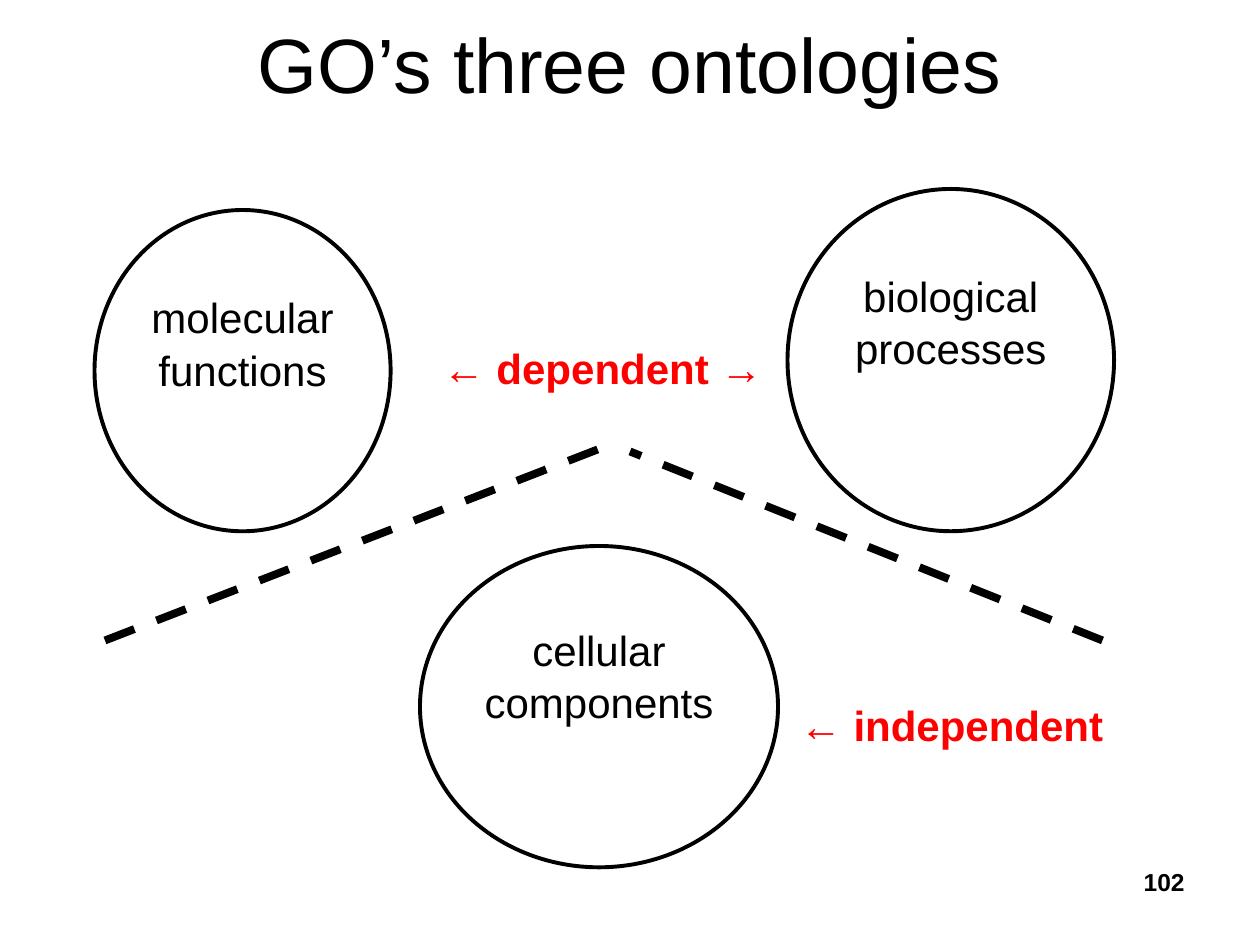
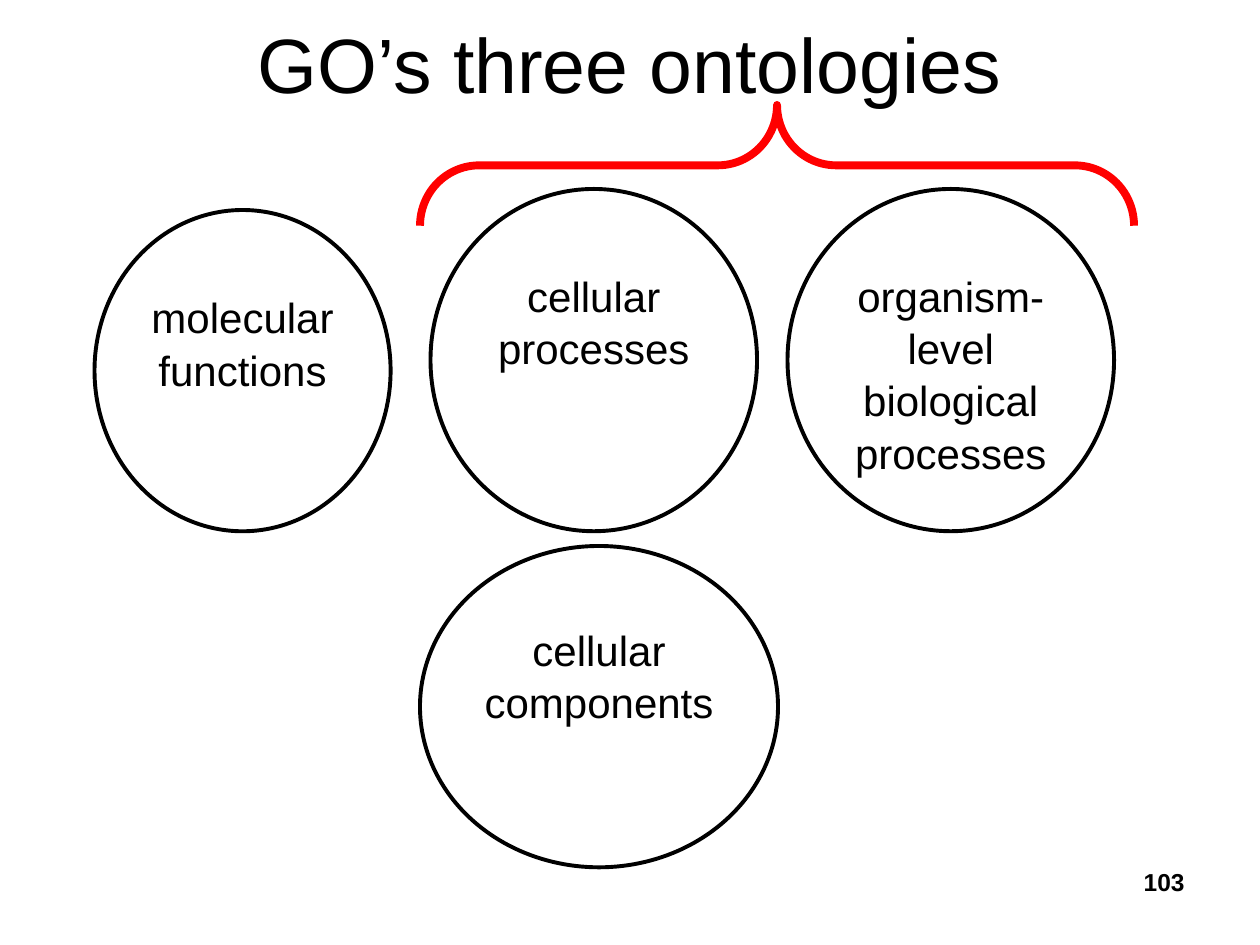
from lxml.etree import SubElement
from pptx import Presentation
from pptx.dml.color import RGBColor
from pptx.enum.dml import MSO_LINE
from pptx.enum.shapes import MSO_CONNECTOR, MSO_SHAPE
from pptx.enum.text import MSO_ANCHOR, PP_ALIGN
from pptx.oxml.ns import qn
from pptx.util import Inches, Pt

BLACK = RGBColor(0, 0, 0)
WHITE = RGBColor(255, 255, 255)
RED = RGBColor(255, 0, 0)
FONT = "Arial"
UNIT = Inches(1) / 12  # the slide is 120 columns by 90 rows
THIN, THICK = Pt(2.25), Pt(4.5)

SIDE = (20, 28.2, 30.6)    # top, width, height
TALL = (18, 31.1, 32.6)
WIDE = (52, 34.1, 30.6)


def grid(*vals):
    return [round(val * UNIT) for val in vals]


class Deck:
    def __init__(self):
        self.prs = Presentation()
        self.prs.slide_width, self.prs.slide_height = grid(120, 90)
        self.slide = None

    def page(self, title, num):
        self.slide = self.prs.slides.add_slide(self.prs.slide_layouts[6])
        self.text(title, (6, 0, 108, 12), 44, align=PP_ALIGN.CENTER,
                  anchor=MSO_ANCHOR.MIDDLE)
        self.text(str(num), (86, 82, 28, 6.2), 14, bold=True,
                  align=PP_ALIGN.RIGHT)

    def put(self, frame, lines, size, color, bold, align):
        frame.word_wrap = True
        for i, line in enumerate(lines):
            para = frame.paragraphs[0] if i == 0 else frame.add_paragraph()
            para.text = line
            para.alignment = align
            font = para.font
            font.name, font.size, font.bold = FONT, Pt(size), bold
            font.color.rgb = color

    def text(self, words, box, size, color=BLACK, bold=False,
             align=PP_ALIGN.LEFT, anchor=MSO_ANCHOR.TOP):
        frame = self.slide.shapes.add_textbox(*grid(*box)).text_frame
        frame.vertical_anchor = anchor
        self.put(frame, [words], size, color, bold, align)

    def label(self, words, left, top):
        self.text(words, (left, top, 39, 6), 24, RED, True)

    def circle(self, lines, left, form, inset=0.23):
        """Draw an ellipse whose text starts an inset below its top margin."""
        top, wide, high = form
        shape = self.slide.shapes.add_shape(
            MSO_SHAPE.OVAL, *grid(left, top, wide, high))
        shape.shadow.inherit = False
        shape.fill.solid()
        shape.fill.fore_color.rgb = WHITE
        shape.line.color.rgb, shape.line.width = BLACK, THIN
        frame = shape.text_frame
        frame.vertical_anchor = MSO_ANCHOR.TOP
        frame.margin_left = frame.margin_right = Inches(0.09)
        frame.margin_top, frame.margin_bottom = Inches(inset), Inches(0.04)
        self.put(frame, lines, 24, BLACK, False, PP_ALIGN.CENTER)
        for para in frame.paragraphs:
            para.line_spacing = 1.04

    def dash(self, start, end):
        line = self.slide.shapes.add_connector(
            MSO_CONNECTOR.STRAIGHT, *grid(*start, *end))
        line.line.color.rgb, line.line.width = BLACK, THICK
        line.line.dash_style = MSO_LINE.DASH
        SubElement(line._element.spPr, qn("a:effectLst"))

    def brace(self, left, top, wide, high):
        """Draw a brace that points up, within the box as seen."""
        shift = (wide - high) / 2
        shape = self.slide.shapes.add_shape(
            MSO_SHAPE.LEFT_BRACE,
            *grid(left + shift, top - shift, high, wide))
        shape.rotation = 90
        shape.adjustments[0] = 0.49
        shape.shadow.inherit = False
        shape.fill.background()
        shape.line.color.rgb, shape.line.width = RED, THICK

    def base(self, num):
        """Start a page with the circles that both pages show."""
        self.page("GO’s three ontologies", num)
        self.circle(["molecular functions"], 9, SIDE, 0.26)
        self.circle(["cellular components"], 40, WIDE)


def main():
    deck = Deck()

    deck.base(102)
    deck.circle(["biological processes"], 75, TALL)
    deck.label("← dependent →", 41, 32)
    deck.label("← independent", 75, 66)
    deck.dash((10, 61), (59, 42))
    deck.dash((105, 61), (60, 43))

    deck.base(103)
    deck.circle(["organism-level", "biological processes"], 75, TALL)
    deck.circle(["cellular", "processes"], 41, TALL)
    deck.brace(40, 10, 68, 11.5)

    deck.prs.save("out.pptx")


if __name__ == "__main__":
    main()
